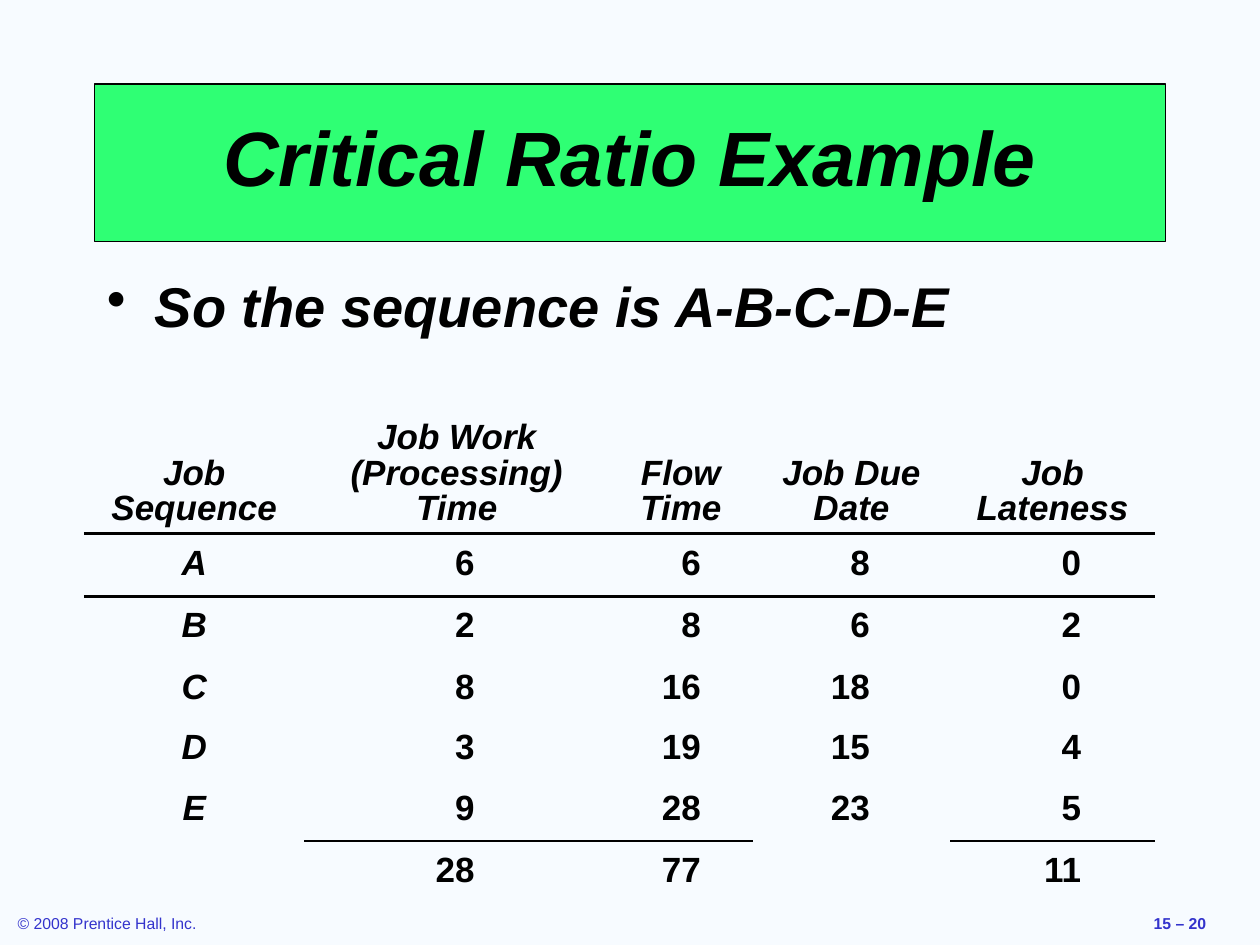
"""Build the critical ratio slide on a grid of 120 columns by 90 rows."""
from dataclasses import dataclass

from lxml import etree
from pptx import Presentation
from pptx.dml.color import RGBColor
from pptx.enum.shapes import MSO_SHAPE
from pptx.enum.text import MSO_ANCHOR, PP_ALIGN
from pptx.oxml.ns import qn
from pptx.util import Inches, Pt

RECT = MSO_SHAPE.RECTANGLE
LEFT, MID = PP_ALIGN.LEFT, PP_ALIGN.CENTER
TOP, HALF, BASE = MSO_ANCHOR.TOP, MSO_ANCHOR.MIDDLE, MSO_ANCHOR.BOTTOM
WIDE, HIGH = Inches(10), Inches(7.5)
COLS, ROWS = 120, 90
PLAIN = "{2D5ABB26-0587-4C30-8999-92F81FD0307C}"


@dataclass(frozen=True)
class Theme:
    """Colours, typeface and type sizes."""
    back: str = "F7FBFF"
    ink: str = "000000"
    band: str = "2FFF74"
    note: str = "3333CC"
    face: str = "Arial"
    head: int = 44
    body: int = 32
    cell: int = 20
    foot: int = 9


THEME = Theme()


@dataclass(frozen=True)
class Box:
    """A place on the grid, in columns and rows."""
    left: float
    top: float
    wide: float
    high: float

    def emu(self) -> tuple:
        """Return left, top, width and height in slide units."""
        return col(self.left), row(self.top), col(self.wide), row(self.high)


@dataclass(frozen=True)
class Style:
    """The look of one paragraph."""
    size: int
    tint: str = THEME.ink
    bold: bool = True
    slant: bool = True
    align: PP_ALIGN = LEFT
    lead: float = 1.0


@dataclass(frozen=True)
class Field:
    """A table column with its width, right tab in inches and values."""
    name: str
    wide: float
    stop: float
    vals: tuple


HEAD = Style(THEME.head, align=MID, lead=0.85)
BODY = Style(THEME.body, lead=0.9)
LABEL = Style(THEME.cell, align=MID, lead=0.9)
VALUE = Style(THEME.cell, slant=False, lead=0.9)
FOOT = Style(THEME.foot, THEME.note, False, False)
PAGE = Style(THEME.foot, THEME.note, True, False)

FIELDS = (
    Field("Job Sequence", 21, 0, ("A", "B", "C", "D", "E", "")),
    Field("Job Work (Processing) Time", 29, 1.25, (6, 2, 8, 3, 9, 28)),
    Field("Flow Time", 13.7, 0.63, (6, 8, 16, 19, 28, 77)),
    Field("Job Due Date", 18.8, 0.83, (8, 6, 18, 15, 23, "")),
    Field("Job Lateness", 19.5, 0.94, (0, 2, 0, 4, 5, 11)),
)
TALL = (12, 6, 5.9, 5.9, 5.5, 6, 5.9)
GRID = Box(8, 38.8, 102, sum(TALL))
RULE, SUM = 1.47, 1.08


def col(num: float) -> int:
    """Turn grid columns into slide units."""
    return round(WIDE * num / COLS)


def row(num: float) -> int:
    """Turn grid rows into slide units."""
    return round(HIGH * num / ROWS)


def write(frame, text: str, style: Style, stop: float = 0, dot: bool = False):
    """Fill a text frame with one styled paragraph."""
    frame.text = text
    para = frame.paragraphs[0]
    para.alignment, para.line_spacing = style.align, style.lead
    props = para._p.get_or_add_pPr()
    if dot:
        props.set("marL", str(Inches(0.38)))
        props.set("indent", str(-Inches(0.38)))
        etree.SubElement(props, qn("a:buChar"), char="•")
    if stop:
        tabs = etree.SubElement(props, qn("a:tabLst"))
        etree.SubElement(tabs, qn("a:tab"), pos=str(Inches(stop)), algn="r")
    font = para.font
    font.name, font.size = THEME.face, Pt(style.size)
    font.bold, font.italic = style.bold, style.slant
    font.color.rgb = RGBColor.from_string(style.tint)


def label(slide, box: Box, text: str, style: Style, wrap: bool = True, dot: bool = False):
    """Add a text box."""
    frame = slide.shapes.add_textbox(*box.emu()).text_frame
    frame.word_wrap, frame.vertical_anchor = wrap, TOP
    write(frame, text, style, dot=dot)


def banner(slide, box: Box, text: str):
    """Add the title band."""
    shape = slide.shapes.add_shape(RECT, *box.emu())
    shape.shadow.inherit = False
    shape.fill.solid()
    shape.fill.fore_color.rgb = RGBColor.from_string(THEME.band)
    shape.line.color.rgb = RGBColor.from_string(THEME.ink)
    shape.line.width = Pt(0.75)
    shape.text_frame.vertical_anchor = HALF
    write(shape.text_frame, text, HEAD)


def edge(cell, side: str, width: float):
    """Draw one border of a cell."""
    line = etree.SubElement(cell._tc.get_or_add_tcPr(), qn(f"a:{side}"), w=str(Pt(width)))
    fill = etree.SubElement(line, qn("a:solidFill"))
    etree.SubElement(fill, qn("a:srgbClr"), val=THEME.ink)


def sheet(slide, box: Box, fields: tuple, tall: tuple):
    """Add the job table with a head rule and sum rules."""
    table = slide.shapes.add_table(len(tall), len(fields), *box.emu()).table
    table.first_row = table.horz_banding = False
    table._tbl.tblPr.find(qn("a:tableStyleId")).text = PLAIN
    last = len(tall) - 1
    for y, high in enumerate(tall):
        table.rows[y].height = row(high)
    for x, field in enumerate(fields):
        table.columns[x].width = col(field.wide)
        for y, val in enumerate((field.name, *field.vals)):
            cell = table.cell(y, x)
            cell.vertical_anchor = HALF if y else BASE
            if y < 2:
                edge(cell, "lnT" if y else "lnB", RULE)
            elif y >= last - 1 and field.stop and field.vals[-1] != "":
                edge(cell, "lnT" if y == last else "lnB", SUM)
            cell.fill.background()
            if val == "":
                continue
            if y and field.stop:
                write(cell.text_frame, f"\t{val}", VALUE, field.stop)
            else:
                write(cell.text_frame, val, LABEL)


def main():
    """Build and save the slide."""
    deck = Presentation()
    deck.slide_width, deck.slide_height = WIDE, HIGH
    slide = deck.slides.add_slide(deck.slide_layouts[6])
    slide.background.fill.solid()
    slide.background.fill.fore_color.rgb = RGBColor.from_string(THEME.back)
    label(slide, Box(0.5, 86.4, 19.4, 3), "© 2008 Prentice Hall, Inc.", FOOT, wrap=False)
    label(slide, Box(108.7, 86.4, 13, 3), "15 – 20", PAGE, wrap=False)
    label(slide, Box(9, 26, 102, 54), "So the sequence is A-B-C-D-E", BODY, dot=True)
    banner(slide, Box(9, 8, 102, 15), "Critical Ratio Example")
    sheet(slide, GRID, FIELDS, TALL)
    deck.save("out.pptx")


if __name__ == "__main__":
    main()
